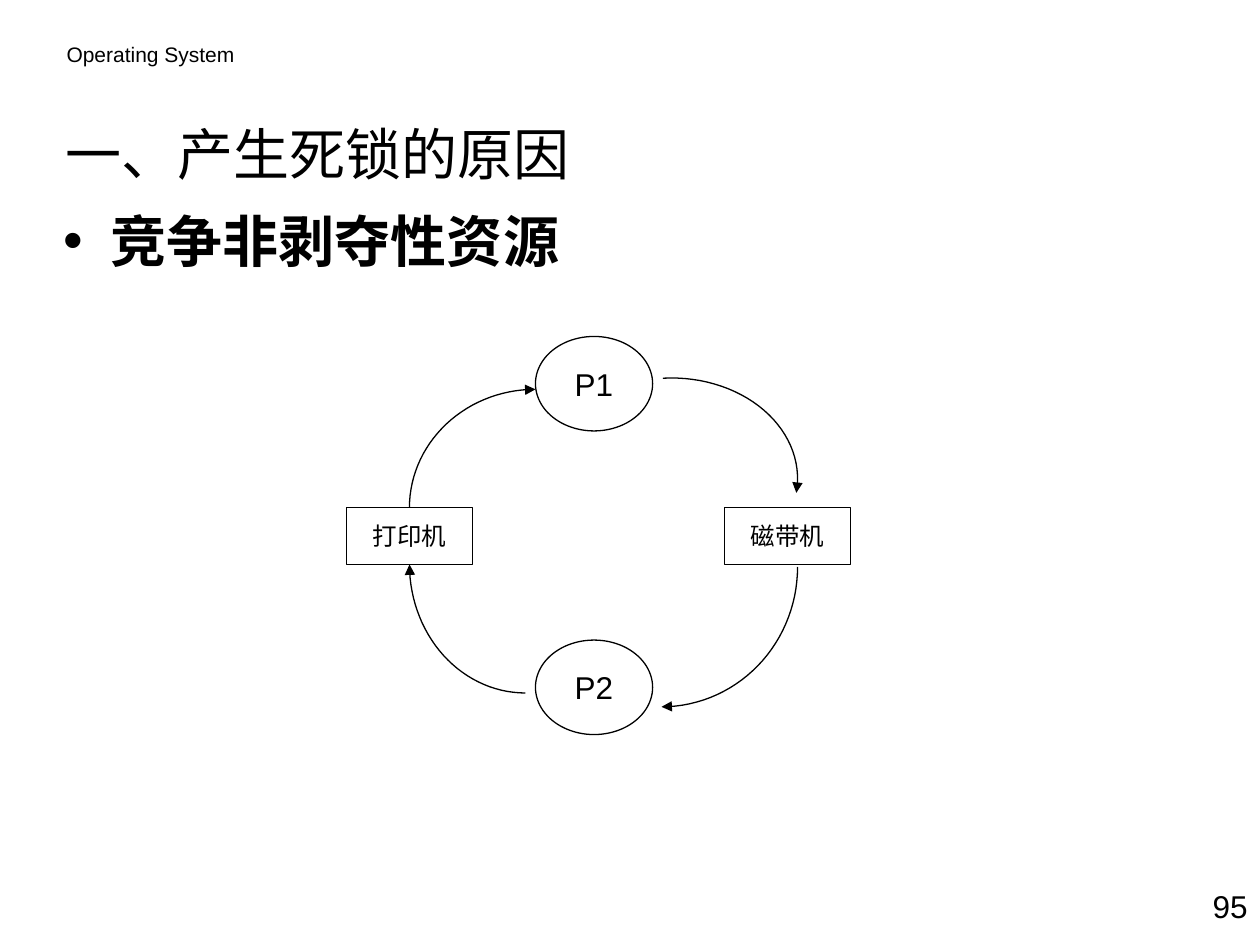
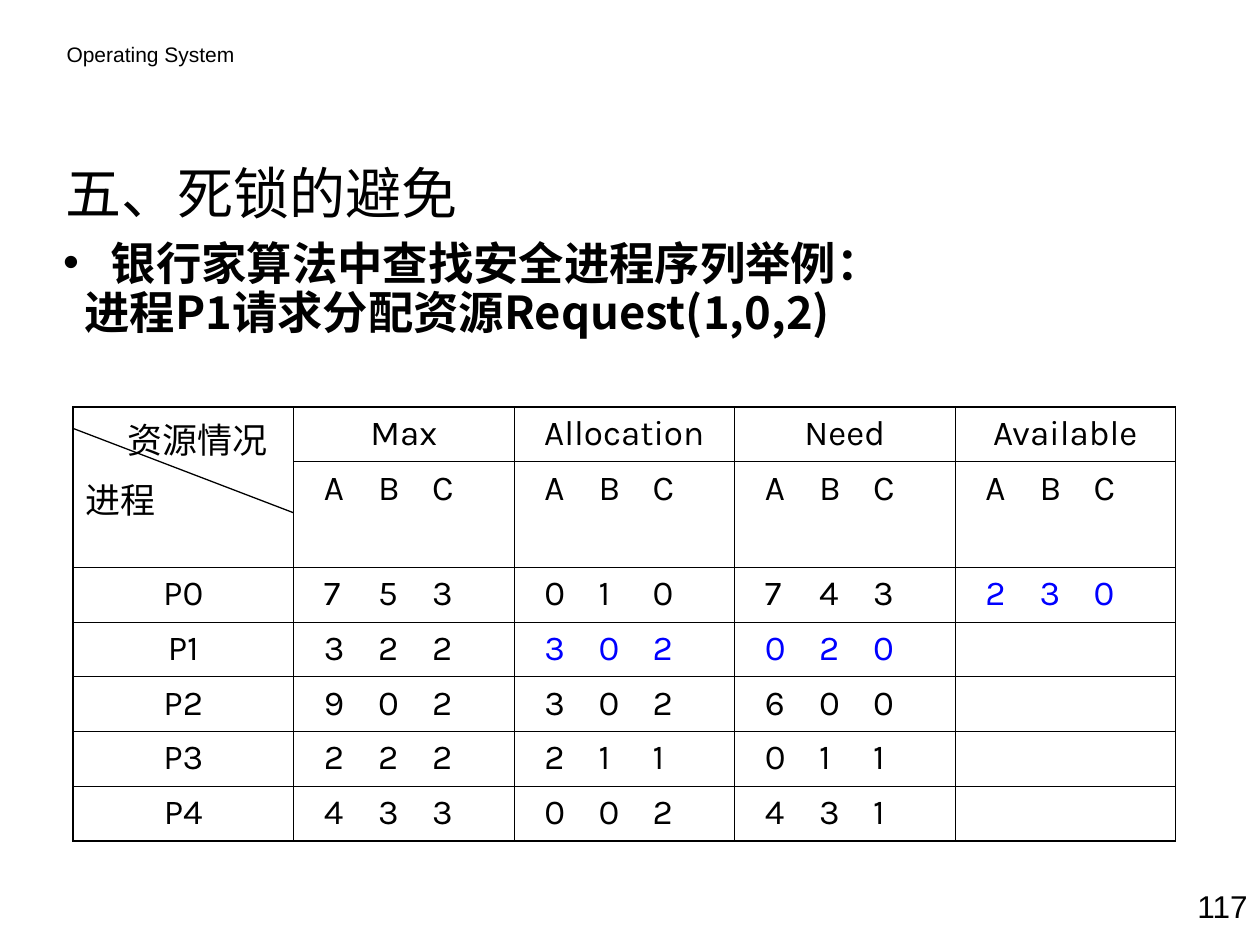
"""Build two operating-system slides: a deadlock cycle and a banker's algorithm table."""
from math import cos, radians, sin

from lxml import etree
from pptx import Presentation
from pptx.dml.color import RGBColor
from pptx.enum.shapes import MSO_CONNECTOR, MSO_SHAPE
from pptx.enum.text import MSO_ANCHOR, MSO_AUTO_SIZE, PP_ALIGN
from pptx.oxml.ns import qn
from pptx.util import Emu, Inches, Pt

LEFT, CENTER, RIGHT = PP_ALIGN.LEFT, PP_ALIGN.CENTER, PP_ALIGN.RIGHT
MIDDLE, FIXED = MSO_ANCHOR.MIDDLE, MSO_AUTO_SIZE.NONE
OVAL, BOX, STRAIGHT = MSO_SHAPE.OVAL, MSO_SHAPE.RECTANGLE, MSO_CONNECTOR.STRAIGHT

WIDTH, HEIGHT = 10, 7.5
BLACK, BLUE = "000000", "0000FF"
LATIN, CHINESE, TABLE_FONT = "Arial", "Noto Sans CJK SC", "Karla"
COURSE = "Operating System"
TITLE_HEIGHT = 0.75
BULLET_INDENT, PLAIN_INDENT = 0.38, 0.17

CYCLE_SLIDE = {
    "title": "一、产生死锁的原因", "top": 0.84, "number": "95",
    "body": ["竞争非剥夺性资源"], "body_height": 3.92, "size": 32, "spacing": 1,
}
BANKER_SLIDE = {
    "title": "五、死锁的避免", "top": 1.15, "number": "117",
    "body": ["银行家算法中查找安全进程序列举例：", "进程P1请求分配资源Request(1,0,2)"],
    "body_height": 0.92, "size": 25.9, "spacing": 0.8,
}

PROCESS_SIZE, DEVICE_SIZE = (0.93, 0.75), (1, 0.45)
NODES = [
    ("P1", OVAL, 4.25, 2.67, PROCESS_SIZE, 18),
    ("P2", OVAL, 4.25, 5.08, PROCESS_SIZE, 18),
    ("打印机", BOX, 2.75, 4.03, DEVICE_SIZE, 14),
    ("磁带机", BOX, 5.75, 4.03, DEVICE_SIZE, 14),
]
# centre x, centre y, radius x, radius y, start degrees, end degrees
ARROWS = [
    (4.17, 4.48, 0.92, 1.02, 90, 180),
    (5.25, 4.5, 1.08, 1.11, 0, 90),
    (5.33, 3.8, 1, 0.8, 266, 368),
    (4.25, 4.03, 1, 0.94, 180, 270),
]
ARC_STEPS = 30

CORNER = ("资源情况", "进程")
GROUPS = ["Max", "Allocation", "Need", "Available"]
RESOURCES = "ABC"
PROCESSES = [
    ("P0", "753", "010", "743", "230"),
    ("P1", "322", "302", "020", ""),
    ("P2", "902", "302", "600", ""),
    ("P3", "222", "211", "011", ""),
    ("P4", "433", "002", "431", ""),
]
CHANGED = {("P0", 4), ("P1", 2), ("P1", 3)}
TABLE_LEFT, TABLE_TOP, COLUMN_WIDTH = 0.58, 3.23, 1.75
ROW_HEIGHT, RESOURCE_ROW_HEIGHT = 0.43, 0.84
TAB_STOPS = [0.14 + 0.43 * index for index in range(3)]
OUTER_LINE, INNER_LINE = 1.08, 0.45


def color(value):
    return RGBColor.from_string(value)


def add_element(parent, tag, **attributes):
    return etree.SubElement(parent, qn(tag), {key: str(value) for key, value in attributes.items()})


def set_font(paragraph, size, name, bold=False, value=BLACK):
    font = paragraph.font
    font.size, font.name, font.bold = Pt(size), name, bold
    font.color.rgb = color(value)
    properties = paragraph._p.get_or_add_pPr().find(qn("a:defRPr"))
    add_element(properties, "a:ea", typeface=CHINESE)


def set_indent(paragraph, margin, first=0):
    properties = paragraph._p.get_or_add_pPr()
    properties.set("marL", str(Inches(margin)))
    properties.set("indent", str(Inches(first)))
    return properties


def place(shape, left, top, width, height):
    shape.left, shape.top = Inches(left), Inches(top)
    shape.width, shape.height = Inches(width), Inches(height)


def add_label(slide, text, left, top, width, height, size, alignment=LEFT):
    box = slide.shapes.add_textbox(*map(Inches, (left, top, width, height)))
    box.text_frame.word_wrap = True
    paragraph = box.text_frame.paragraphs[0]
    paragraph.text, paragraph.alignment = text, alignment
    set_font(paragraph, size, LATIN)


def fill_title(slide, content):
    title = slide.shapes.title
    place(title, 0.42, content["top"], 0.9 * WIDTH, TITLE_HEIGHT)
    frame = title.text_frame
    frame.text, frame.vertical_anchor, frame.auto_size = content["title"], MIDDLE, FIXED
    frame.paragraphs[0].alignment = LEFT
    set_font(frame.paragraphs[0], 32, CHINESE)


def fill_body(slide, content):
    body = slide.placeholders[1]
    place(body, 0.5, content["top"] + TITLE_HEIGHT, WIDTH - 0.5, content["body_height"])
    frame = body.text_frame
    frame.text, frame.auto_size = "\n".join(content["body"]), FIXED
    frame.margin_left = frame.margin_right = 0
    for index, paragraph in enumerate(frame.paragraphs):
        paragraph.line_spacing = content["spacing"]
        paragraph.space_before = Pt(3 if index else 0)
        if index:
            add_element(set_indent(paragraph, PLAIN_INDENT), "a:buNone")
        else:
            properties = set_indent(paragraph, BULLET_INDENT, -BULLET_INDENT)
            add_element(properties, "a:buChar", char="•")
        set_font(paragraph, content["size"], CHINESE, bold=True)


def add_slide(presentation, content):
    slide = presentation.slides.add_slide(presentation.slide_layouts[1])
    add_label(slide, COURSE, 0.43, 0.28, 4.1, 0.3, 12)
    fill_title(slide, content)
    fill_body(slide, content)
    add_label(slide, content["number"], WIDTH - 0.92, 6.99, 0.92, 0.4, 18, RIGHT)
    return slide


def outline(shape):
    shape.shadow.inherit = False
    shape.fill.background()
    shape.line.color.rgb, shape.line.width = color(BLACK), Pt(0.75)


def add_node(slide, text, kind, left, top, size, font_size):
    node = slide.shapes.add_shape(kind, *map(Inches, (left, top, *size)))
    outline(node)
    frame = node.text_frame
    frame.margin_left = frame.margin_right = frame.margin_top = frame.margin_bottom = 0
    frame.vertical_anchor = MIDDLE
    paragraph = frame.paragraphs[0]
    paragraph.text, paragraph.alignment = text, CENTER
    set_font(paragraph, font_size, LATIN)


def add_arc_arrow(slide, center_x, center_y, radius_x, radius_y, start, end):
    angles = [radians(start + (end - start) * step / ARC_STEPS) for step in range(ARC_STEPS + 1)]
    points = [(Inches(center_x + radius_x * cos(angle)), Inches(center_y + radius_y * sin(angle)))
              for angle in angles]
    builder = slide.shapes.build_freeform(*points[0])
    builder.add_line_segments(points[1:], close=False)
    arrow = builder.convert_to_shape()
    outline(arrow)
    add_element(arrow.line._get_or_add_ln(), "a:tailEnd", type="triangle", w="med", len="med")


def draw_borders(cell, row, column, last_row, last_column):
    properties = cell._tc.get_or_add_tcPr()
    edges = {"a:lnL": column == 0, "a:lnR": column == last_column,
             "a:lnT": row == 0, "a:lnB": row == last_row}
    for tag, is_outer in edges.items():
        line = add_element(properties, tag, w=Pt(OUTER_LINE if is_outer else INNER_LINE))
        add_element(add_element(line, "a:solidFill"), "a:srgbClr", val=BLACK)
    cell.fill.background()


def fill_cell(cell, text, centered, value):
    paragraph = cell.text_frame.paragraphs[0]
    if centered:
        paragraph.text, paragraph.alignment = text, CENTER
    else:
        paragraph.text = "".join("\t" + letter for letter in text)
        tabs = add_element(paragraph._p.get_or_add_pPr(), "a:tabLst")
        for stop in TAB_STOPS:
            add_element(tabs, "a:tab", pos=Inches(stop), algn="l")
    set_font(paragraph, 20, TABLE_FONT, value=value)


def fill_corner(cell):
    cell.text_frame.text = "\n".join(CORNER)
    resource, process = cell.text_frame.paragraphs
    set_indent(resource, 0.33)
    process.space_before = Pt(5)
    for paragraph in (resource, process):
        set_font(paragraph, 20, TABLE_FONT)


def add_resource_table(slide):
    rows = [("", *GROUPS), ("", *[RESOURCES] * len(GROUPS)), *PROCESSES]
    heights = [ROW_HEIGHT, RESOURCE_ROW_HEIGHT] + [ROW_HEIGHT] * len(PROCESSES)
    columns = len(rows[0])
    frame = slide.shapes.add_table(len(rows), columns, Inches(TABLE_LEFT), Inches(TABLE_TOP),
                                   Inches(COLUMN_WIDTH * columns), Inches(sum(heights)))
    table = frame.table
    table.first_row = table.horz_banding = False
    for table_column in table.columns:
        table_column.width = Inches(COLUMN_WIDTH)
    for row, values in enumerate(rows):
        table.rows[row].height = Inches(heights[row])
        for column, text in enumerate(values):
            cell = table.cell(row, column)
            draw_borders(cell, row, column, len(rows) - 1, columns - 1)
            value = BLUE if (values[0], column) in CHANGED else BLACK
            fill_cell(cell, text, row == 0 or column == 0, value)
    table.cell(0, 0).merge(table.cell(1, 0))
    corner = table.cell(0, 0)
    corner.text_frame.paragraphs[0].alignment = LEFT
    fill_corner(corner)


def add_corner_line(slide):
    line = slide.shapes.add_connector(STRAIGHT, Inches(TABLE_LEFT), Inches(3.4),
                                      Inches(TABLE_LEFT + COLUMN_WIDTH), Inches(4.07))
    line.line.color.rgb, line.line.width = color(BLACK), Pt(0.75)
    add_element(line._element.spPr, "a:effectLst")


def main():
    presentation = Presentation()
    presentation.slide_width, presentation.slide_height = Inches(WIDTH), Emu(Inches(HEIGHT))
    cycle = add_slide(presentation, CYCLE_SLIDE)
    for node in NODES:
        add_node(cycle, *node)
    for arrow in ARROWS:
        add_arc_arrow(cycle, *arrow)
    banker = add_slide(presentation, BANKER_SLIDE)
    add_resource_table(banker)
    add_corner_line(banker)
    presentation.save("out.pptx")


if __name__ == "__main__":
    main()
